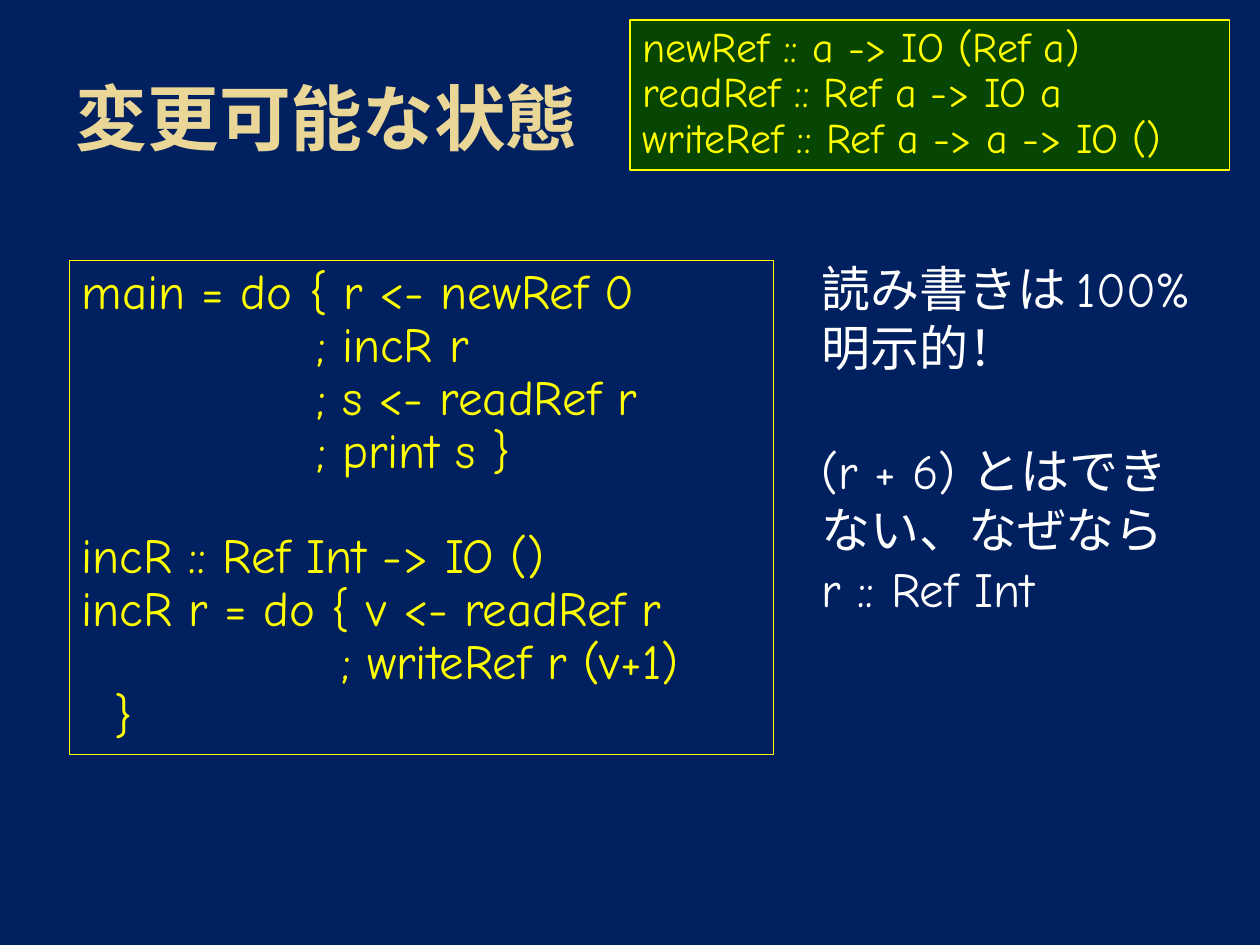
from pptx import Presentation
from pptx.dml.color import RGBColor
from pptx.enum.shapes import MSO_SHAPE
from pptx.enum.text import MSO_ANCHOR, PP_ALIGN
from pptx.oxml.ns import qn
from pptx.util import Inches, Pt
from lxml import etree


def color(value):
    return RGBColor.from_string(value)


def add_tab_stops(paragraph, positions):
    properties = paragraph._p.get_or_add_pPr()
    tab_list = etree.SubElement(properties, qn("a:tabLst"))
    for position in positions:
        etree.SubElement(tab_list, qn("a:tab"), pos=str(Inches(position)), algn="l")


presentation = Presentation()
presentation.slide_width = Inches(10)
presentation.slide_height = Inches(7.5)
slide = presentation.slides.add_slide(presentation.slide_layouts[5])
slide.background.fill.solid()
slide.background.fill.fore_color.rgb = color("002060")

title = slide.shapes.title
title.left, title.top = Inches(0.5), Inches(0.3)
title.width, title.height = Inches(9), Inches(1.25)
title.text_frame.text = "変更可能な状態"
title.text_frame.vertical_anchor = MSO_ANCHOR.MIDDLE
paragraph = title.text_frame.paragraphs[0]
paragraph.alignment = PP_ALIGN.LEFT
paragraph.font.name = "Noto Sans"
paragraph.font.size = Pt(41)
paragraph.font.bold = True
paragraph.font.color.rgb = color("EAD696")

remarks = [
    [("読み書きは", "Arial"), (" 100% ", "Comic Neue"), ("明示的！", "Arial")],
    [("(r + 6) ", "Comic Neue"), ("とはできない、なぜなら", "Arial"), ("\n", None), ("r :: Ref Int", "Comic Neue")],
]
remark_box = slide.shapes.add_textbox(Inches(6.42), Inches(2), Inches(3.15), Inches(4.02))
remark_frame = remark_box.text_frame
remark_frame.word_wrap = True
for index, parts in enumerate(remarks):
    paragraph = remark_frame.add_paragraph() if index else remark_frame.paragraphs[0]
    paragraph.space_before = Pt(37 * index)
    paragraph.font.size = Pt(28)
    paragraph.font.color.rgb = color("FFFFFF")
    for text, font_name in parts:
        if text == "\n":
            paragraph.add_line_break()
            continue
        run = paragraph.add_run()
        run.text = text
        run.font.name = font_name

main_code = "main = do { r <- newRef 0\n\t\t; incR r\n\t\t; s <- readRef r\n\t\t; print s }"
increment_code = "incR :: Ref Int -> IO ()\nincR r = do { v <- readRef r\n\t\t\t; writeRef r (v+1)\n\t}"
reference_types = "newRef :: a -> IO (Ref a)\nreadRef :: Ref a -> IO a\nwriteRef :: Ref a -> a -> IO ()"
code_boxes = [
    (0.55, 2.07, 5.59, 3.92, None, 28, [main_code, increment_code], [0.26, 1.86, 2.06]),
    (5, 0.16, 4.76, 1.19, "074602", 24, [reference_types], []),
]
for left, top, width, height, fill, size, blocks, tab_stops in code_boxes:
    shape = slide.shapes.add_shape(
        MSO_SHAPE.RECTANGLE, Inches(left), Inches(top), Inches(width), Inches(height)
    )
    shape.shadow.inherit = False
    if fill:
        shape.fill.solid()
        shape.fill.fore_color.rgb = color(fill)
    else:
        shape.fill.background()
    shape.line.color.rgb = color("FFFF00")
    shape.line.width = Pt(0.75)
    frame = shape.text_frame
    frame.word_wrap = True
    frame.vertical_anchor = MSO_ANCHOR.TOP
    for index, block in enumerate(blocks):
        paragraph = frame.add_paragraph() if index else frame.paragraphs[0]
        paragraph.text = block
        paragraph.alignment = PP_ALIGN.LEFT
        paragraph.line_spacing = 0.9
        paragraph.space_before = Pt(30 * index)
        if tab_stops:
            add_tab_stops(paragraph, tab_stops)
        paragraph.font.name = "Comic Neue"
        paragraph.font.size = Pt(size)
        paragraph.font.color.rgb = color("FFFF00")

presentation.save("out.pptx")
